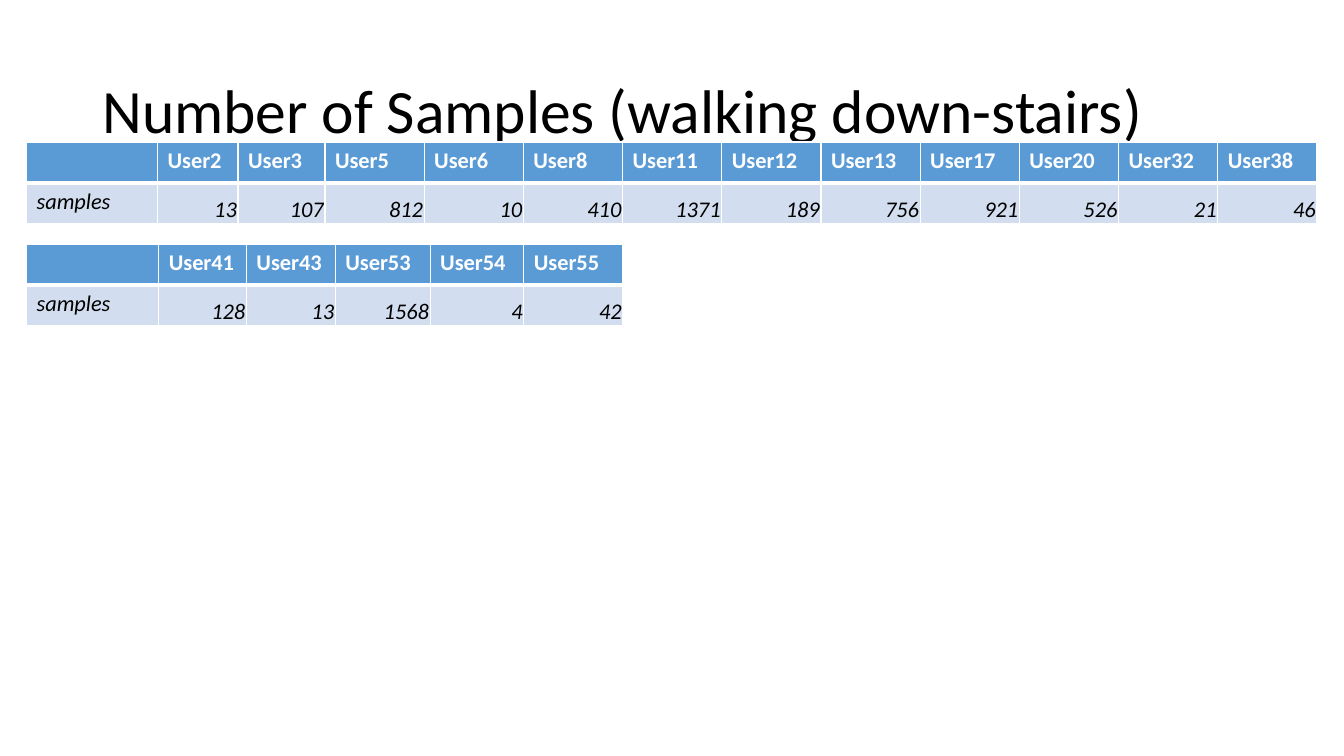
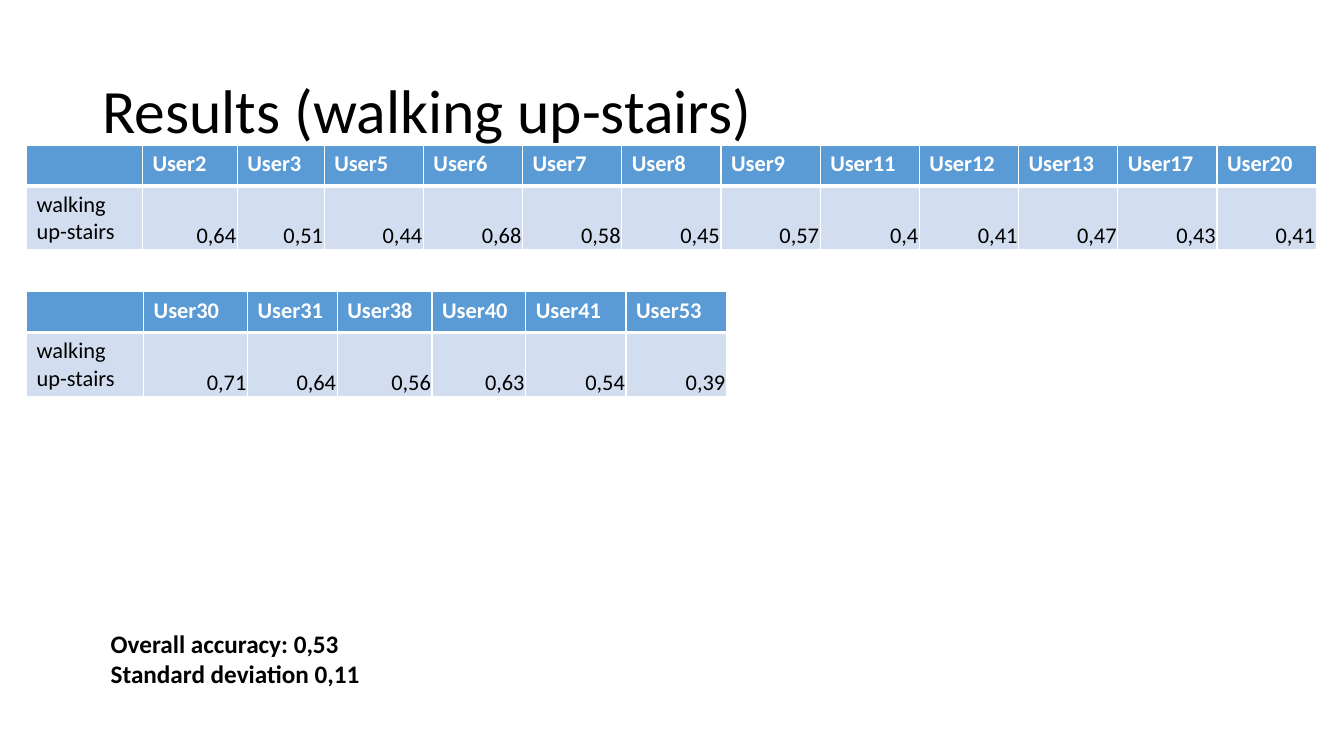
from lxml.etree import SubElement
from pptx import Presentation
from pptx.dml.color import RGBColor
from pptx.enum.text import MSO_ANCHOR, PP_ALIGN
from pptx.oxml.ns import qn
from pptx.util import Cm, Pt

# Shared look
FONT = "Calibri"
BLACK = RGBColor(0x00, 0x00, 0x00)
WHITE = RGBColor(0xFF, 0xFF, 0xFF)
HEADER_BLUE = RGBColor(0x5B, 0x9B, 0xD5)
BODY_BLUE = RGBColor(0xD2, 0xDE, 0xEF)
TABLE_LEFT = Cm(0.67)
HEADER_HEIGHT = 1.03
USER_WIDTH = 2.5

# Each table: top, body row height, column widths, users, row label, values
SLIDES = [
    {
        "title": "Number of Samples (walking down-stairs)",
        "italic": True,
        "tables": [
            (3.58, 1.03, [3.3, 2.03, 2.19] + [USER_WIDTH] * 10,
             [2, 3, 5, 6, 8, 11, 12, 13, 17, 20, 32, 38], "samples",
             "13 107 812 10 410 1371 189 756 921 526 21 46"),
            (6.15, 1.03, [3.33, 2.21, 2.24, 2.39, 2.36, USER_WIDTH],
             [41, 43, 53, 54, 55], "samples", "128 13 1568 4 42"),
        ],
        "summary": [],
    },
    {
        "title": "Results (walking up-stairs)",
        "italic": False,
        "tables": [
            (3.66, 1.61, [2.92, 2.39, 2.19] + [USER_WIDTH] * 10,
             [2, 3, 5, 6, 7, 8, 9, 11, 12, 13, 17, 20], "walking up-stairs",
             "0,64 0,51 0,44 0,68 0,58 0,45 0,57 0,4 0,41 0,47 0,43 0,41"),
            (7.35, 1.61, [2.95, 2.62, 2.26, 2.39, 2.36, 2.53, 2.53],
             [30, 31, 38, 40, 41, 53], "walking up-stairs",
             "0,71 0,64 0,56 0,63 0,54 0,39"),
        ],
        "summary": ["Overall accuracy: 0,53", "Standard deviation 0,11"],
    },
]


def add_text(slide, left, top, lines, size, bold=False, line_spacing=1.0):
    shape = slide.shapes.add_textbox(Cm(left), Cm(top), Cm(29.21), Cm(3.68))
    text_frame = shape.text_frame
    text_frame.word_wrap = True
    text_frame.vertical_anchor = MSO_ANCHOR.MIDDLE
    text_frame.text = "\n".join(lines)
    for paragraph in text_frame.paragraphs:
        paragraph.line_spacing = line_spacing
        font = paragraph.runs[0].font
        font.name, font.size, font.bold = FONT, Pt(size), bold
        font.color.rgb = BLACK


def style_cell(cell, is_header, italic):
    # Borders go before the fill in the cell properties
    properties = cell._tc.get_or_add_tcPr()
    widths = {"lnL": 1, "lnR": 1, "lnT": 1 if is_header else 3,
              "lnB": 3 if is_header else 1}
    for tag, width in widths.items():
        line = SubElement(properties, qn(f"a:{tag}"), w=str(Pt(width)))
        line_fill = SubElement(line, qn("a:solidFill"))
        SubElement(line_fill, qn("a:srgbClr"), val=str(WHITE))
    cell.fill.solid()
    cell.fill.fore_color.rgb = HEADER_BLUE if is_header else BODY_BLUE
    for run in cell.text_frame.paragraphs[0].runs:
        font = run.font
        font.name, font.size = FONT, Pt(16)
        font.bold, font.italic = is_header, italic and not is_header
        font.color.rgb = WHITE if is_header else BLACK


presentation = Presentation()
presentation.slide_width = Cm(33.87)
presentation.slide_height = Cm(19.05)

for content in SLIDES:
    slide = presentation.slides.add_slide(presentation.slide_layouts[6])
    add_text(slide, 2.33, 1.01, [content["title"]], 44, line_spacing=0.9)

    # Tables of users and their values
    for top, body_height, widths, users, label, values in content["tables"]:
        rows = [[""] + [f"User{user}" for user in users],
                [label] + values.split()]
        heights = [HEADER_HEIGHT, body_height]
        table = slide.shapes.add_table(
            len(rows), len(widths), TABLE_LEFT, Cm(top),
            Cm(sum(widths)), Cm(sum(heights))).table
        for column, width in zip(table.columns, widths):
            column.width = Cm(width)
        for row_index, texts in enumerate(rows):
            table.rows[row_index].height = Cm(heights[row_index])
            for column_index, text in enumerate(texts):
                cell = table.cell(row_index, column_index)
                cell.text = text
                style_cell(cell, row_index == 0, content["italic"])
                if row_index and column_index:
                    cell.vertical_anchor = MSO_ANCHOR.BOTTOM
                    cell.margin_left = cell.margin_right = Cm(0.03)
                    cell.margin_top, cell.margin_bottom = Cm(0.03), 0
                    cell.text_frame.paragraphs[0].alignment = PP_ALIGN.RIGHT

    # Summary lines
    if content["summary"]:
        add_text(slide, 2.54, 14.76, content["summary"], 18, bold=True)

presentation.save("out.pptx")
